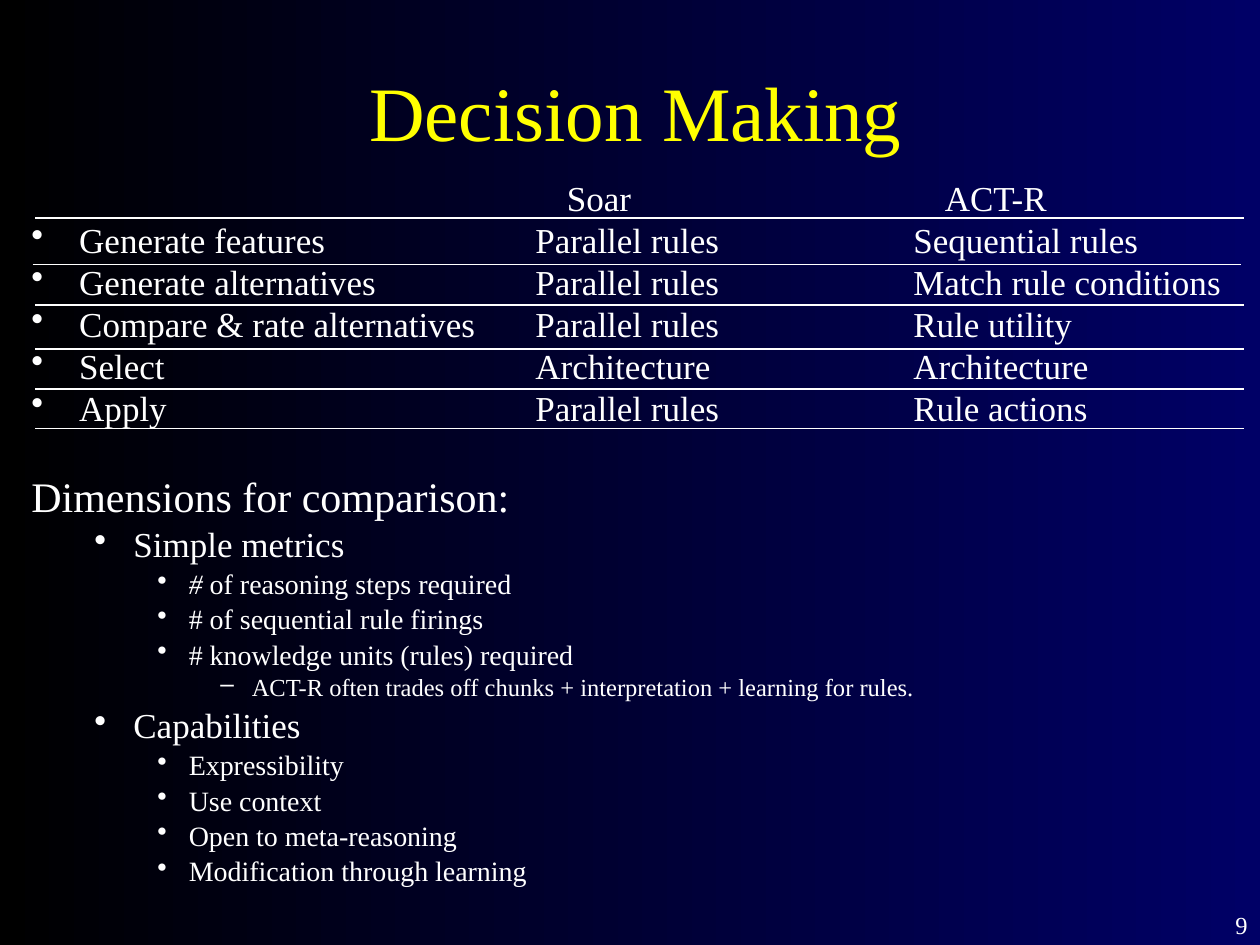
"""Build the Decision Making slide comparing two architectures."""
import pptx
import pptx.util
import pptx.dml.color
import pptx.enum.shapes
import pptx.enum.text
import lxml.etree

Inch = pptx.util.Inches
Align = pptx.enum.text.PP_ALIGN
Anchor = pptx.enum.text.MSO_ANCHOR
WHITE = "FFFFFF"

deck = pptx.Presentation()
deck.slide_width, deck.slide_height = Inch(10), Inch(7.5)
slide = deck.slides.add_slide(deck.slide_layouts[6])


def color(code):
    return pptx.dml.color.RGBColor.from_string(code)


def write(frame, text, size=20, hue=WHITE, align=Align.LEFT, left=0, hang=0,
          mark="", tabs=(), gap=0, slant=0):
    para = frame.paragraphs[0]
    if para.runs:
        para = frame.add_paragraph()
    props = para._p.get_or_add_pPr()
    props.set("marL", str(Inch(left)))
    props.set("indent", str(-Inch(hang)))
    if mark:
        bullet = lxml.etree.SubElement(props, pptx.oxml.ns.qn("a:buChar"))
        bullet.set("char", mark)
    if tabs:
        stops = lxml.etree.SubElement(props, pptx.oxml.ns.qn("a:tabLst"))
        for stop in tabs:
            tab = lxml.etree.SubElement(stops, pptx.oxml.ns.qn("a:tab"))
            tab.set("pos", str(Inch(stop)))
            tab.set("algn", "l")
    para.alignment = align
    para.space_before = pptx.util.Pt(gap)
    for part, tilt in ((text[:slant], True), (text[slant:], False)):
        if part:
            run = para.add_run()
            run.text = part
            run.font.name = "Times New Roman"
            run.font.size = pptx.util.Pt(size)
            run.font.italic = tilt
            run.font.color.rgb = color(hue)


fill = slide.background.fill
fill.gradient()
fill.gradient_angle = 180
for stop, code, place in zip(fill.gradient_stops, ("000066", "000000"), (0, 1)):
    stop.color.rgb = color(code)
    stop.position = place

frames = []
boxes = (
    (9.56, 7.17, 0.44, 0.34),
    (0.42, 0.25, 9.25, 1.25),
    (0.15, 1.35, 9.85, 6.15),
    (7.4, 1.35, 2, 0.4),
)
for box in boxes:
    frame = slide.shapes.add_textbox(*map(Inch, box)).text_frame
    frame.word_wrap = True
    frames.append(frame)
number, title, body, head = frames

write(number, "9", size=14, align=Align.RIGHT)
title.vertical_anchor = Anchor.MIDDLE
write(title, "Decision Making", size=44, hue="FFFF00", align=Align.CENTER)

write(body, "Soar", left=4.25)
write(head, "ACT-R")
rows = (
    ("Generate features", "Parallel rules", "Sequential rules"),
    ("Generate alternatives", "Parallel rules", "Match rule conditions"),
    ("Compare & rate alternatives", "Parallel rules", "Rule utility"),
    ("Select", "Architecture", "Architecture"),
    ("Apply", "Parallel rules", "Rule actions"),
)
for row in rows:
    write(body, "\t".join(row), left=0.38, hang=0.38, mark="•", tabs=(4, 7))

write(body, "Dimensions for comparison:", size=24, gap=24)
levels = {
    1: dict(size=20, left=0.81, hang=0.31, mark="•", gap=1.2),
    2: dict(size=16, left=1.25, hang=0.25, mark="•", gap=1),
    3: dict(size=14, left=1.75, hang=0.25, mark="–", gap=0.9),
}
points = (
    (1, "Simple metrics", 0),
    (2, "# of reasoning steps required", 1),
    (2, "# of sequential rule firings", 0),
    (2, "# knowledge units (rules) required", 0),
    (3, "ACT-R often trades off chunks + interpretation + learning for rules.", 0),
    (1, "Capabilities", 0),
    (2, "Expressibility", 0),
    (2, "Use context", 0),
    (2, "Open to meta-reasoning", 0),
    (2, "Modification through learning", 0),
)
for level, text, slant in points:
    write(body, text, slant=slant, **levels[level])

for left, top in ((0.28, 2.42), (0.28, 2.77), (0.28, 3.09), (0.28, 3.4), (0.26, 2.1), (0.28, 1.73)):
    rule = slide.shapes.add_connector(
        pptx.enum.shapes.MSO_CONNECTOR.STRAIGHT,
        Inch(left), Inch(top), Inch(left + 9.59), Inch(top))
    rule.line.color.rgb = color(WHITE)
    rule.line.width = pptx.util.Pt(1)
    lxml.etree.SubElement(rule._element.spPr, pptx.oxml.ns.qn("a:effectLst"))

deck.save("out.pptx")
